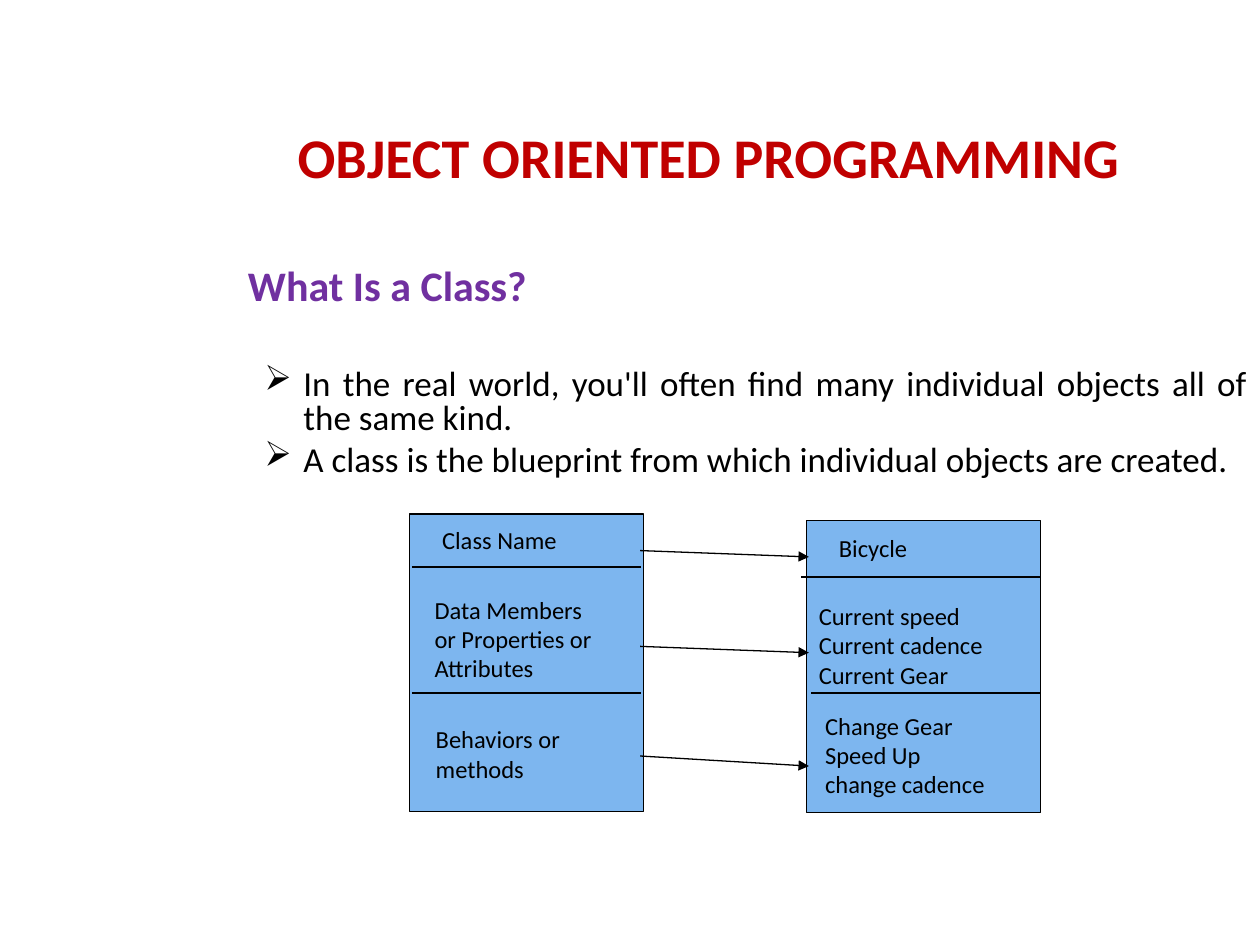
import pptx
import pptx.dml.color
import pptx.enum.shapes
import pptx.enum.text
import pptx.oxml.ns
import pptx.util
from dataclasses import dataclass
from lxml import etree

Inches = pptx.util.Inches
Pt = pptx.util.Pt
Align = pptx.enum.text.PP_ALIGN
qn = pptx.oxml.ns.qn


def rgb(code):
    return pptx.dml.color.RGBColor.from_string(code)


@dataclass(frozen=True)
class Theme:
    font: str = "Calibri"
    title: str = "C00000"
    head: str = "7030A0"
    ink: str = "000000"
    fill: str = "7DB6EF"
    big: int = 32
    mid: int = 24
    body: int = 20
    small: int = 14
    tab: int = 40
    rule: float = 0.75


class Deck:
    def __init__(self, theme):
        self.theme = theme
        self.file = pptx.Presentation()
        self.file.slide_width = Inches(10)
        self.file.slide_height = Inches(7.5)
        self.slide = self.file.slides.add_slide(self.file.slide_layouts[6])

    def frame(self, *place):
        shape = self.slide.shapes.add_textbox(*map(Inches, place))
        shape.text_frame.word_wrap = True
        return shape.text_frame

    def run(self, para, text, size, color, bold=False):
        run = para.add_run()
        run.text = text
        look = {"name": self.theme.font, "size": Pt(size), "bold": bold}
        for key, value in look.items():
            setattr(run.font, key, value)
        run.font.color.rgb = rgb(color)

    def format(self, para, left, hang, **look):
        """Set paragraph values and a hanging indent."""
        for key, value in look.items():
            setattr(para, key, value)
        props = para._p.get_or_add_pPr()
        props.set("marL", str(Inches(left)))
        props.set("indent", str(-Inches(hang)))
        return props

    def title(self, text, *place):
        para = self.frame(*place).paragraphs[0]
        para.alignment = Align.CENTER
        self.run(para, text, self.theme.big, self.theme.title, True)

    def body(self, head, points, *place):
        theme = self.theme
        frame = self.frame(*place)
        para = frame.paragraphs[0]
        self.format(para, 0.37, 0.37, alignment=Align.JUSTIFY, line_spacing=0.8)
        self.run(para, "\t", theme.tab, theme.head, True)
        self.run(para, head, theme.mid, theme.head, True)
        for index, text in enumerate(points):
            para = frame.add_paragraph()
            gap = Pt(5 if index else 31)
            props = self.format(para, 0.81, 0.31, alignment=Align.JUSTIFY,
                                line_spacing=0.8, space_before=gap)
            etree.SubElement(props, qn("a:buChar"), char="➢")
            self.run(para, text, theme.body, theme.ink)

    def label(self, lines, *place):
        frame = self.frame(*place)
        for index, text in enumerate(lines):
            para = frame.add_paragraph() if index else frame.paragraphs[0]
            self.run(para, text, self.theme.small, self.theme.ink)

    def box(self, *place):
        kind = pptx.enum.shapes.MSO_SHAPE.RECTANGLE
        shape = self.slide.shapes.add_shape(kind, *map(Inches, place))
        shape.shadow.inherit = False
        shape.fill.solid()
        shape.fill.fore_color.rgb = rgb(self.theme.fill)
        self.stroke(shape.line)

    def stroke(self, line):
        line.color.rgb = rgb(self.theme.ink)
        line.width = Pt(self.theme.rule)

    def line(self, *ends, arrow=False):
        kind = pptx.enum.shapes.MSO_CONNECTOR.STRAIGHT
        link = self.slide.shapes.add_connector(kind, *map(Inches, ends))
        self.stroke(link.line)
        if arrow:
            etree.SubElement(link.line._get_or_add_ln(), qn("a:tailEnd"),
                             type="triangle")
        etree.SubElement(link._element.spPr, qn("a:effectLst"))


def main():
    deck = Deck(Theme())
    deck.title("OBJECT ORIENTED PROGRAMMING", 1.5, 0.92, 8.25, 1.08)
    deck.body("What Is a Class?", [
        "In the real world, you'll often find many individual objects "
        "all of the same kind.",
        "A class is the blueprint from which individual objects are created.",
    ], 1.5, 1.92, 8.5, 2.1)

    deck.box(3.25, 4.08, 1.86, 2.36)
    deck.box(6.4, 4.13, 1.86, 2.32)
    for start, end in [(4.37, 4.42), (5.13, 5.18), (6, 6.08)]:
        deck.line(5.08, start, 6.42, end, arrow=True)

    labels = [
        (["Class Name"], 3.41, 4.12, 1.39, 0.34),
        (["Bicycle"], 6.56, 4.18, 1.54, 0.34),
        (["Data Members or Properties or Attributes"], 3.35, 4.67, 1.45, 0.81),
        (["Behaviors or methods"], 3.36, 5.7, 1.44, 0.57),
        (["Current speed", "Current cadence", "Current Gear"],
         6.4, 4.72, 1.86, 0.81),
        (["Change Gear", "Speed Up", "change cadence"],
         6.45, 5.59, 1.66, 0.81),
    ]
    for lines, *place in labels:
        deck.label(lines, *place)

    for left, right, top in [(3.27, 5.09, 4.5), (6.44, 8.25, 5.5),
                             (3.27, 5.09, 5.5), (6.36, 8.25, 4.58)]:
        deck.line(left, top, right, top)
    deck.file.save("out.pptx")


if __name__ == "__main__":
    main()
